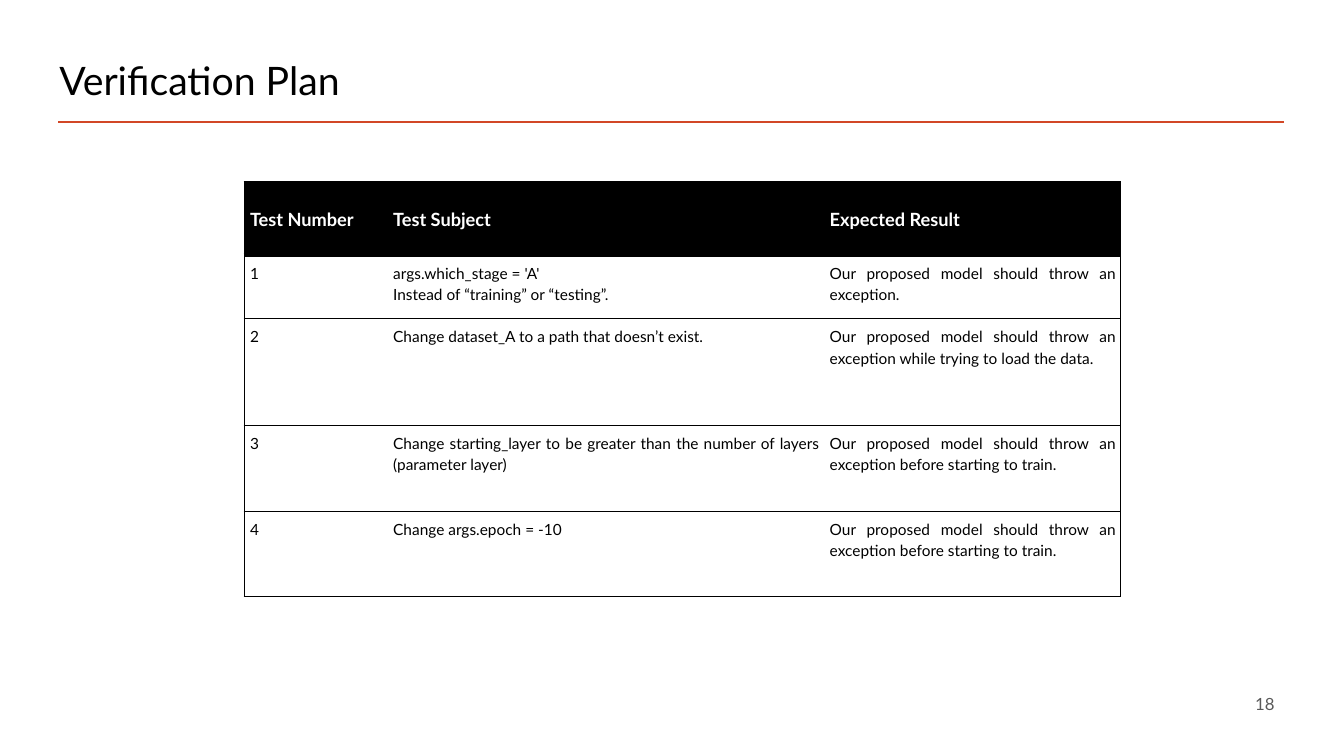
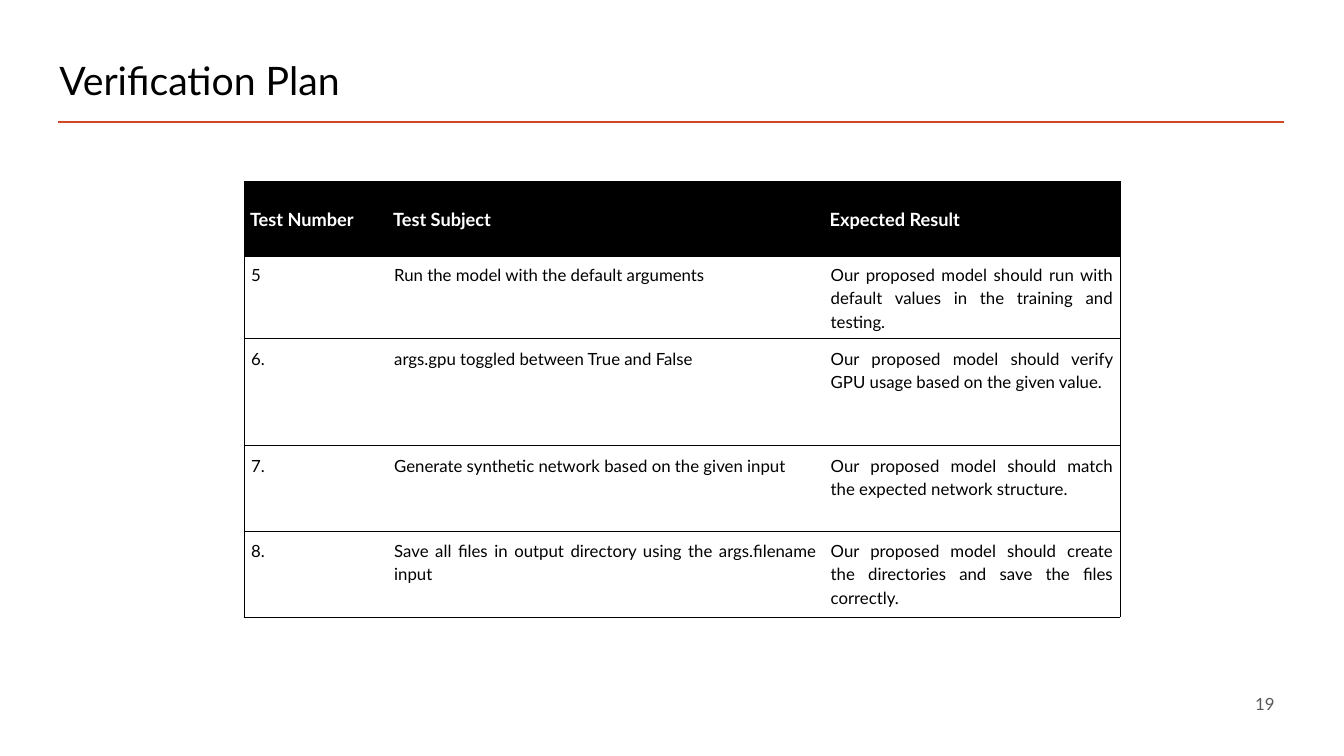
from lxml import etree
from pptx import Presentation
from pptx.dml.color import RGBColor
from pptx.enum import shapes, text
from pptx.oxml import ns
from pptx.util import Inches, Pt

FONT = "Lato"
BLACK, WHITE, ACCENT, GREY = "000000", "FFFFFF", "D24726", "595959"
COLUMN_WIDTHS = [1.42, 4.33, 2.94]
ROW_HEIGHTS = [0.73, 0.63, 1.06, 0.85, 0.85]
HEADER = ("Test Number", "Test Subject", "Expected Result")
HEADER_INSETS = (0.06, 0.09, 0.04, 0.09)
THIN, THICK = 0.5, 3

# Each slide: page number, body text size, cell insets (left, top, right, bottom), tests
SLIDES = [
    ("18", 11, (0.06, 0.06, 0.04, 0.09), [
        ("1", "args.which_stage = 'A'\nInstead of “training” or “testing”.",
         "Our proposed model should throw an exception."),
        ("2", "Change dataset_A to a path that doesn’t exist.",
         "Our proposed model should throw an exception while trying to load the data."),
        ("3", "Change starting_layer to be greater than the number of layers (parameter layer)",
         "Our proposed model should throw an exception before starting to train."),
        ("4", "Change args.epoch = -10",
         "Our proposed model should throw an exception before starting to train."),
    ]),
    ("19", 12, (0.07, 0.07, 0.07, 0.07), [
        ("5", "Run the model with the default arguments",
         "Our proposed model should run with default values in the training and testing."),
        ("6.", "args.gpu toggled between True and False",
         "Our proposed model should verify GPU usage based on the given value."),
        ("7.", "Generate synthetic network based on the given input",
         "Our proposed model should match the expected network structure."),
        ("8.", "Save all files in output directory using the args.filename input",
         "Our proposed model should create the directories and save the files correctly."),
    ]),
]


def write(frame, content, size, color, align, spacing=1.0, bold=False):
    """Fill a text frame, one paragraph for each line of content."""
    for index, line in enumerate(content.split("\n")):
        paragraph = frame.add_paragraph() if index else frame.paragraphs[0]
        paragraph.alignment = align
        paragraph.line_spacing = spacing
        run = paragraph.add_run()
        run.text = line
        run.font.name = FONT
        run.font.size = Pt(size)
        run.font.bold = bold
        run.font.color.rgb = RGBColor.from_string(color)


def set_borders(cell, widths):
    """Draw the left, right, top and bottom borders; a width of 0 hides one."""
    properties = cell._tc.get_or_add_tcPr()
    for side, width in zip("LRTB", widths):
        line = etree.SubElement(properties, ns.qn(f"a:ln{side}"), w=str(Pt(width)))
        if width:
            fill = etree.SubElement(line, ns.qn("a:solidFill"))
            etree.SubElement(fill, ns.qn("a:srgbClr"), val=BLACK)
        else:
            etree.SubElement(line, ns.qn("a:noFill"))


presentation = Presentation()
presentation.slide_width = Inches(13.33)
presentation.slide_height = Inches(7.5)
blank_layout = presentation.slide_layouts[6]

for page_number, body_size, body_insets, tests in SLIDES:
    slide = presentation.slides.add_slide(blank_layout)

    # Rule under the title
    rule = slide.shapes.add_connector(
        shapes.MSO_CONNECTOR.STRAIGHT, Inches(0.58), Inches(1.21), Inches(12.74), Inches(1.21))
    rule.line.color.rgb = RGBColor.from_string(ACCENT)
    rule.line.width = Pt(2)
    etree.SubElement(rule._element.spPr, ns.qn("a:effectLst"))

    # Title and page number
    for content, box, size, color, align, spacing in [
        ("Verification Plan", (0.49, 0.47, 10, 0.7), 28, BLACK, text.PP_ALIGN.LEFT, 0.9),
        (page_number, (9.16, 6.78, 3.58, 0.4), 12, GREY, text.PP_ALIGN.RIGHT, 1.0),
    ]:
        frame = slide.shapes.add_textbox(*map(Inches, box)).text_frame
        frame.word_wrap = True
        frame.vertical_anchor = text.MSO_ANCHOR.MIDDLE
        write(frame, content, size, color, align, spacing)

    # Test table
    rows = [HEADER] + tests
    table = slide.shapes.add_table(
        len(rows), len(HEADER), Inches(2.42), Inches(1.8),
        Inches(sum(COLUMN_WIDTHS)), Inches(sum(ROW_HEIGHTS))).table
    for column, width in zip(table.columns, COLUMN_WIDTHS):
        column.width = Inches(width)
    for row, height in zip(table.rows, ROW_HEIGHTS):
        row.height = Inches(height)

    for row_index, row in enumerate(rows):
        is_header = row_index == 0
        for column_index, content in enumerate(row):
            cell = table.cell(row_index, column_index)
            set_borders(cell, (
                THIN if column_index == 0 else 0,
                THIN if column_index == len(HEADER) - 1 else 0,
                THICK if row_index == 1 else THIN,
                THICK if is_header else THIN))
            cell.fill.solid()
            cell.fill.fore_color.rgb = RGBColor.from_string(BLACK if is_header else WHITE)
            cell.vertical_anchor = text.MSO_ANCHOR.MIDDLE if is_header else text.MSO_ANCHOR.TOP
            insets = HEADER_INSETS if is_header else body_insets
            cell.margin_left, cell.margin_top, cell.margin_right, cell.margin_bottom = map(
                Inches, insets)
            write(cell.text_frame, content, 13 if is_header else body_size,
                  WHITE if is_header else BLACK, text.PP_ALIGN.JUSTIFY, 1.15, is_header)

presentation.save("out.pptx")
